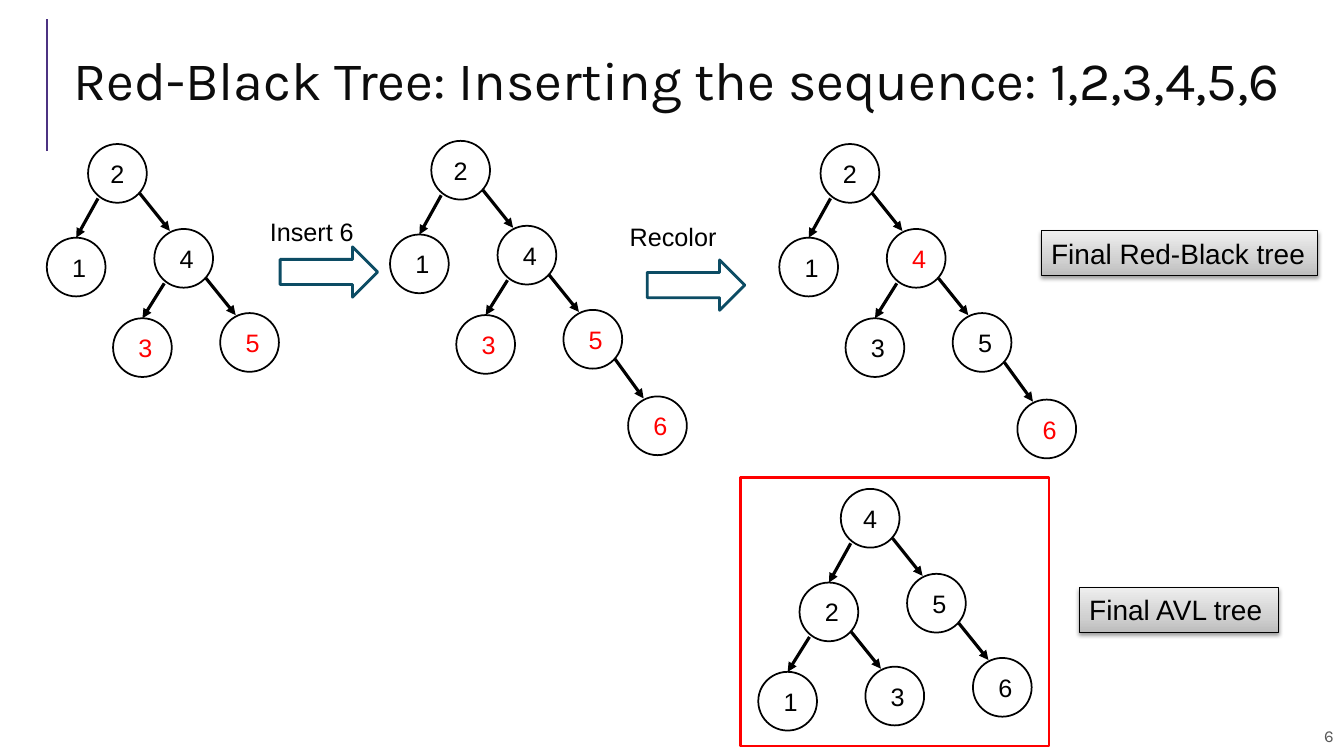
from lxml import etree
from pptx import Presentation
from pptx.dml.color import RGBColor
from pptx.enum.shapes import MSO_CONNECTOR, MSO_SHAPE
from pptx.enum.text import MSO_ANCHOR, PP_ALIGN
from pptx.oxml import parse_xml
from pptx.oxml.ns import nsdecls, qn
from pptx.util import Cm, Pt

STRAIGHT = MSO_CONNECTOR.STRAIGHT
OVAL, RECTANGLE, RIGHT_ARROW = MSO_SHAPE.OVAL, MSO_SHAPE.RECTANGLE, MSO_SHAPE.RIGHT_ARROW
MIDDLE, TOP = MSO_ANCHOR.MIDDLE, MSO_ANCHOR.TOP
LEFT, CENTER, RIGHT = PP_ALIGN.LEFT, PP_ALIGN.CENTER, PP_ALIGN.RIGHT

COLORS = {
    "black": "000000", "white": "FFFFFF", "red": "FF0000", "purple": "4C3282",
    "teal": "0C4C64", "title": "0C0C0C", "number": "595959",
}
GRADIENT_STOPS = [(0, "BDBDBD"), (35, "D1D1D1"), (100, "EEEEEE")]

# Tree geometry in centimetres; steps from parent to child for each depth
NODE_SIZE = 1.48
LEFT_STEPS = [(-1.04, 2.36), (-1.04, 2.25)]
RIGHT_STEPS = [(1.67, 2.14), (1.66, 2.12), (1.63, 2.18)]

# A node is (key, left child, right child)
LEAF_1, LEAF_3, LEAF_6 = [(key, None, None) for key in "136"]
BEFORE_INSERT = ("2", LEAF_1, ("4", LEAF_3, ("5", None, None)))
AFTER_INSERT = ("2", LEAF_1, ("4", LEAF_3, ("5", None, LEAF_6)))
AVL_TREE = ("4", ("2", LEAF_1, LEAF_3), ("5", None, LEAF_6))

# Tree, left and top of its root, keys of its red nodes
TREES = [
    (BEFORE_INSERT, 2.22, 3.63, "35"),
    (AFTER_INSERT, 10.87, 3.55, "356"),
    (AFTER_INSERT, 20.68, 3.63, "46"),
    (AVL_TREE, 21.19, 12.32, ""),
]


def rgb(name):
    return RGBColor.from_string(COLORS[name])


def box(left, top, width, height):
    return [Cm(value) for value in (left, top, width, height)]


def write(shape, text, size, color="black", font="Arial", align=LEFT, anchor=TOP,
          wrap=True, margins=(0.25, 0.13, 0.25, 0.13)):
    frame = shape.text_frame
    frame.text = text
    left, top, right, bottom = [Cm(margin) for margin in margins]
    frame_format = {
        "word_wrap": wrap, "vertical_anchor": anchor, "margin_left": left,
        "margin_top": top, "margin_right": right, "margin_bottom": bottom,
    }
    for name, value in frame_format.items():
        setattr(frame, name, value)
    paragraph = frame.paragraphs[0]
    paragraph.alignment = align
    for name, value in {"name": font, "size": Pt(size), "bold": False}.items():
        setattr(paragraph.runs[0].font, name, value)
    paragraph.runs[0].font.color.rgb = rgb(color)
    return paragraph


def add_outlined(slide, kind, place, line, width, fill=None):
    shape = slide.shapes.add_shape(kind, *box(*place))
    shape.shadow.inherit = False
    if fill:
        shape.fill.solid()
        shape.fill.fore_color.rgb = rgb(fill)
    else:
        shape.fill.background()
    shape.line.color.rgb = rgb(line)
    shape.line.width = Pt(width)
    return shape


def add_line(slide, start, end, color="black", width=2.25, arrow=True):
    points = [Cm(value) for value in (*start, *end)]
    line = slide.shapes.add_connector(STRAIGHT, *points)
    line.line.color.rgb = rgb(color)
    line.line.width = Pt(width)
    properties = line._element.spPr
    if arrow:
        etree.SubElement(properties.find(qn("a:ln")), qn("a:tailEnd"), type="triangle")
    etree.SubElement(properties, qn("a:effectLst"))
    return line


def add_tree(slide, node, left, top, red_keys, depth=0):
    """Draw a node, its subtrees and the arrows to them; return the node's circle."""
    key, left_child, right_child = node
    circle = add_outlined(slide, OVAL, (left, top, NODE_SIZE, NODE_SIZE), "black", 1.25, "white")
    write(circle, key, 18, "red" if key in red_keys else "black", align=CENTER,
          anchor=MIDDLE, wrap=False, margins=(0.15 if depth else 0, 0, 0, 0))
    if left_child:
        step_x, step_y = LEFT_STEPS[depth]
        x, y = left + step_x, top + step_y
        child = add_tree(slide, left_child, x, y, red_keys, depth + 1)
        arrow = add_line(slide, (left + 0.25, top + 1.37), (x + NODE_SIZE / 2, y))
        arrow.end_connect(child, 0)
    if right_child:
        step_x, step_y = RIGHT_STEPS[depth]
        x, y = left + step_x, top + step_y
        add_tree(slide, right_child, x, y, red_keys, depth + 1)
        add_line(slide, (left + 1.3, top + 1.24), (x + 0.39, y + 0.05))
    return circle


def add_step(slide, text, label_place, arrow_place):
    add_outlined(slide, RIGHT_ARROW, arrow_place, "teal", 2, "white")
    write(slide.shapes.add_textbox(*box(*label_place)), text, 18)


def add_caption(slide, text, place):
    """Add a label with a grey gradient and a soft shadow."""
    shape = add_outlined(slide, RECTANGLE, place, "black", 0.75)
    write(shape, text, 20, wrap=False)
    properties = shape._element.spPr
    stops = "".join(
        f'<a:gs pos="{position * 1000}"><a:srgbClr val="{color}"/></a:gs>'
        for position, color in GRADIENT_STOPS)
    gradient = parse_xml(
        f'<a:gradFill {nsdecls("a")} rotWithShape="1"><a:gsLst>{stops}</a:gsLst>'
        '<a:lin ang="16200000" scaled="0"/></a:gradFill>')
    properties.replace(properties.find(qn("a:noFill")), gradient)
    shadow = parse_xml(
        f'<a:outerShdw {nsdecls("a")} blurRad="{Pt(3.1)}" dist="{Pt(1.6)}" dir="5400000" '
        'rotWithShape="0"><a:srgbClr val="000000"><a:alpha val="38000"/></a:srgbClr>'
        '</a:outerShdw>')
    properties.find(qn("a:effectLst")).append(shadow)


def add_title(slide, text):
    title = slide.shapes.title
    title.left, title.top, title.width, title.height = box(1.6, 0.74, 31.06, 2.82)
    paragraph = write(title, text, 38.7, "title", "Karla", anchor=MIDDLE)
    paragraph.line_spacing = 0.8


def add_slide_number(slide):
    shape = slide.shapes.add_textbox(*box(21.97, 18.03, 11.89, 1.02))
    paragraph = write(shape, "6", 12, "number", "Karla", RIGHT, MIDDLE, margins=[0.25] * 4)
    run = paragraph.runs[0]._r
    field = parse_xml(
        f'<a:fld {nsdecls("a")} id="{{B6F15528-21DE-4FAA-801E-634DDDAF4B2B}}" type="slidenum"/>')
    run.getparent().replace(run, field)
    field.extend(list(run))


def main():
    presentation = Presentation()
    presentation.slide_width, presentation.slide_height = Cm(33.87), Cm(19.05)
    # The deck numbering places this slide sixth
    presentation.element.set("firstSlideNum", "6")
    slide = presentation.slides.add_slide(presentation.slide_layouts[5])

    add_line(slide, (1.19, 3.81), (1.19, 0.48), "purple", 1.5, arrow=False)
    add_slide_number(slide)
    add_title(slide, "Red-Black Tree: Inserting the sequence: 1,2,3,4,5,6")
    for tree, left, top, red_keys in TREES:
        add_tree(slide, tree, left, top, red_keys)
    add_step(slide, "Insert 6", (6.55, 5.31, 2.67, 1.02), (7.06, 6.22, 2.46, 1.27))
    add_step(slide, "Recolor", (15.62, 5.44, 3, 1.02), (16.31, 6.55, 2.46, 1.27))
    add_outlined(slide, RECTANGLE, (18.67, 12.04, 7.77, 6.76), "red", 2)
    add_caption(slide, "Final Red-Black tree", (26.24, 5.82, 6.96, 1.12))
    add_caption(slide, "Final AVL tree", (27.2, 14.81, 5.03, 1.12))
    presentation.save("out.pptx")


if __name__ == "__main__":
    main()
